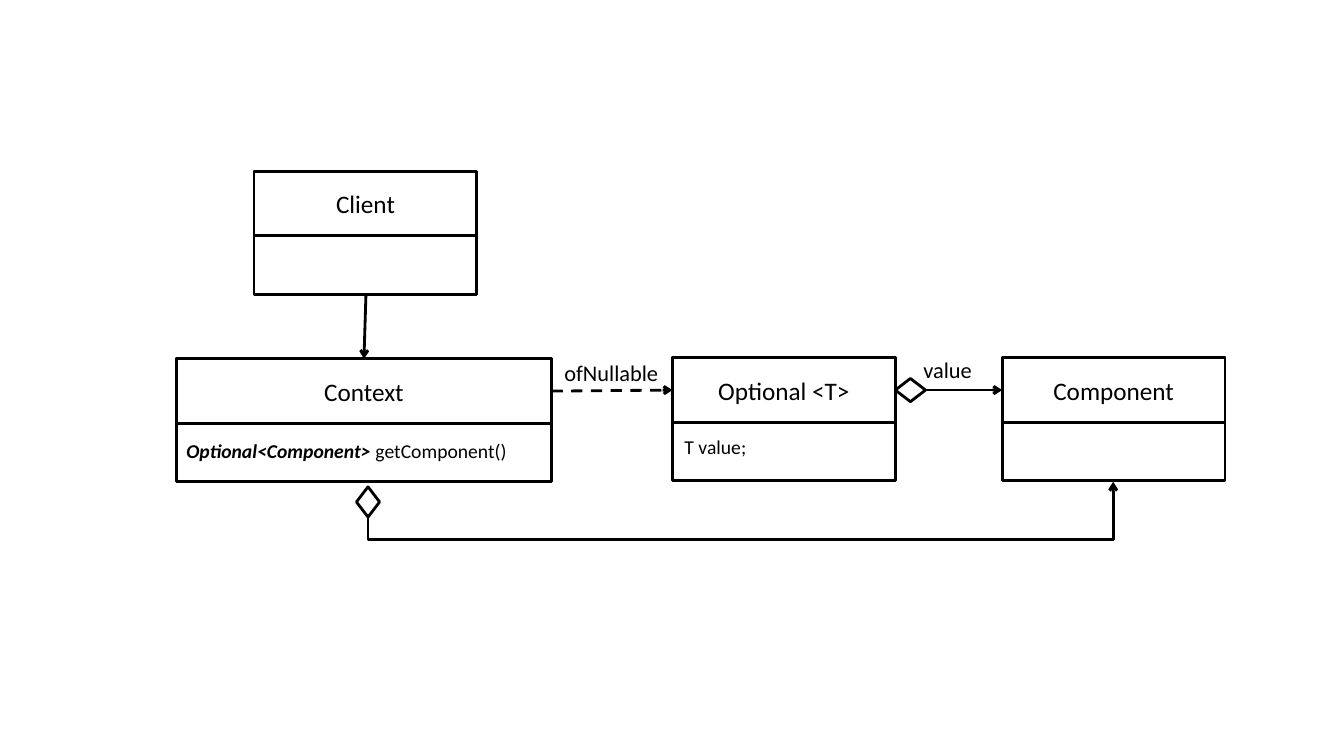
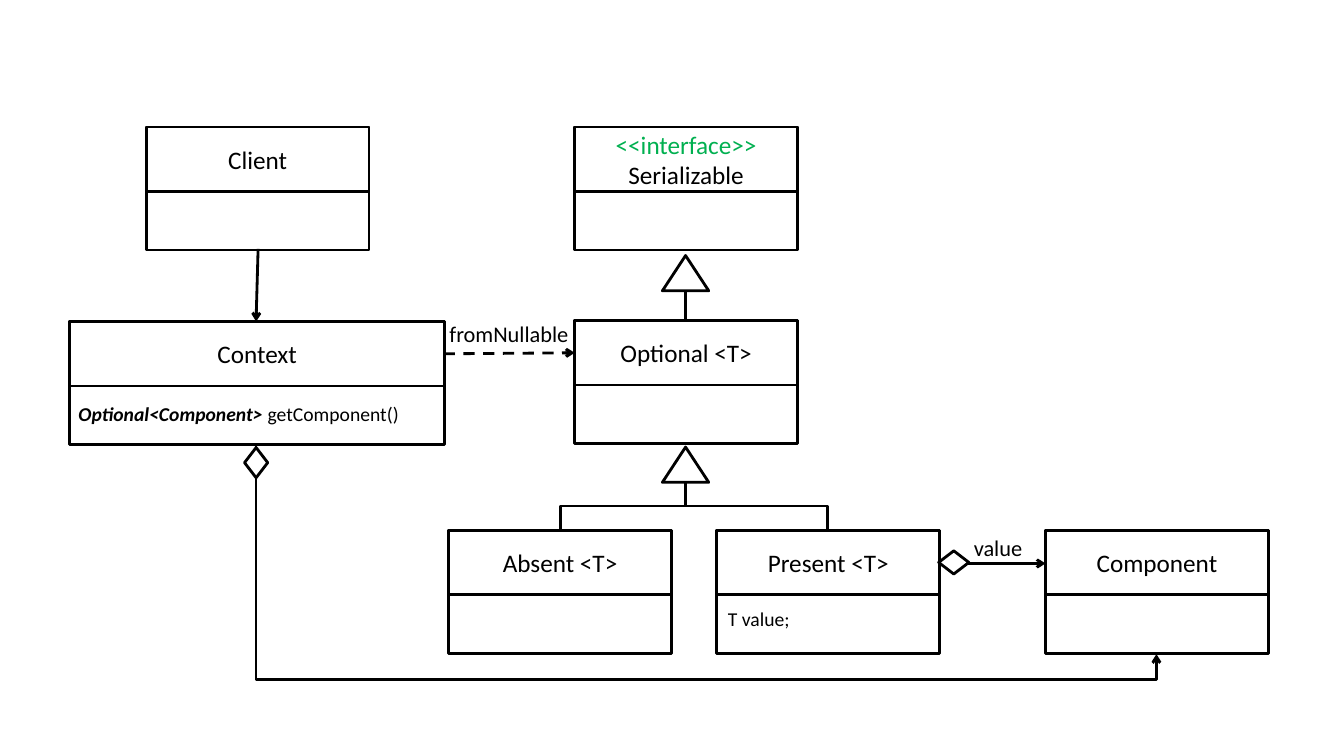
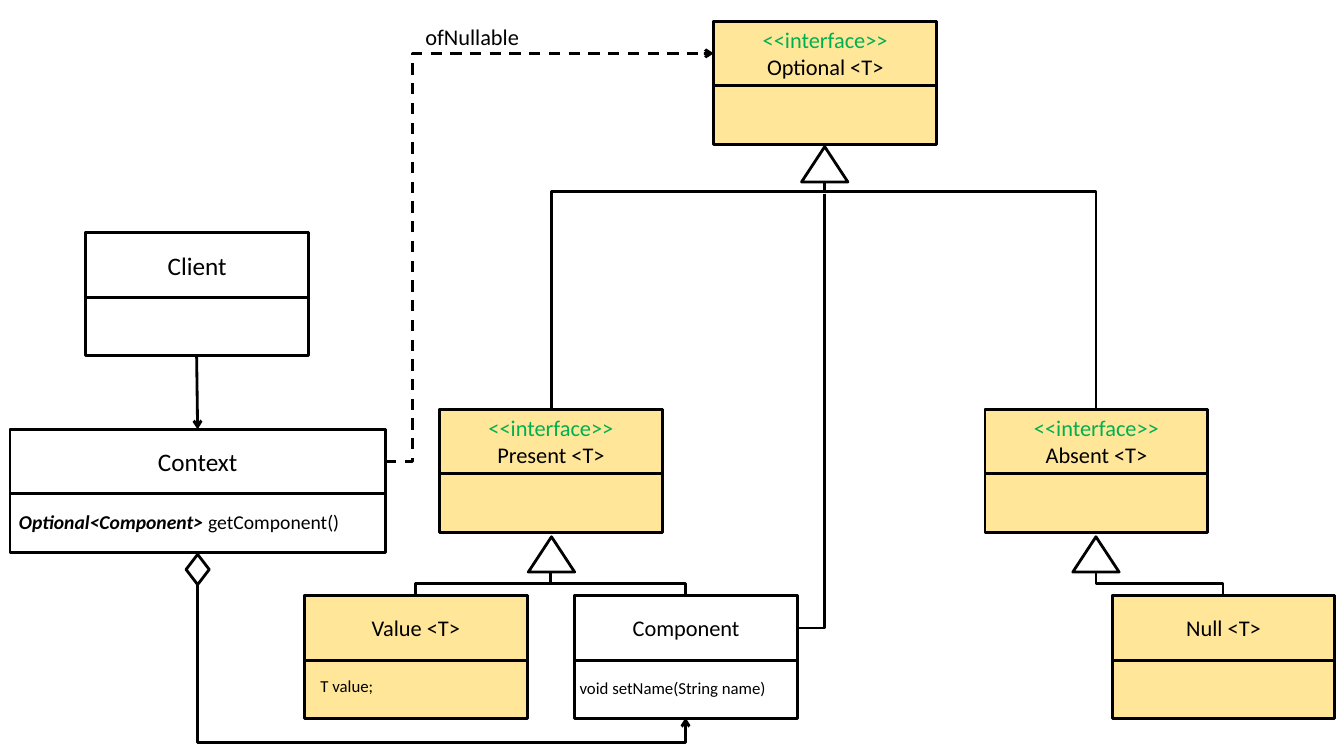
from lxml import etree
from pptx import Presentation
from pptx import util as u
from pptx.dml import color
from pptx.enum import dml, shapes, text
from pptx.oxml import ns

FONT, BLACK, WHITE, GREEN, GOLD = "Calibri", "000000", "FFFFFF", "00B050", "FFE699"
BOX_WIDTH, CONTEXT_WIDTH, BOX_HEIGHT, HEADER_HEIGHT = 2.21, 3.72, 1.22, 0.64
LINE = u.Pt(2)
INTERFACE = "<<interface>>\n"
GETTER = "Optional<Component> |getComponent()"
MARKS = {
    "triangle": (shapes.MSO_SHAPE.ISOSCELES_TRIANGLE, 0.46, 0.35, 0),
    "diamond": (shapes.MSO_SHAPE.DIAMOND, 0.3, 0.23, 0),
    "upright diamond": (shapes.MSO_SHAPE.DIAMOND, 0.3, 0.23, 90),
}

# boxes: name, left, top, width, size, fill
# links: route, start x, start y, end x, end y, turn, style
# marks: kind, centre x, centre y
# labels: text, left, top, width, size
nullable = {
    "boxes": [
        ("Optional <T>", 6.67, 3.55, BOX_WIDTH, 18, None),
        ("Component", 9.94, 3.55, BOX_WIDTH, 18, None),
        ("Context", 1.75, 3.56, CONTEXT_WIDTH, 18, None),
        ("Client", 2.52, 1.7, BOX_WIDTH, 18, None),
    ],
    "links": [
        ("straight", 8.87, 3.87, 9.94, 3.87, None, "arrow"),
        ("straight", 5.47, 3.88, 6.67, 3.87, None, "dash"),
        ("straight", 3.63, 2.91, 3.61, 3.56, None, "arrow"),
        ("down", 3.65, 5.13, 11.04, 4.78, 5.35, "arrow"),
    ],
    "marks": [("diamond", 9.03, 3.87), ("upright diamond", 3.65, 4.98)],
    "labels": [
        ("ofNullable", 5.5, 3.51, 1.14, 16),
        ("value", 9.06, 3.48, 0.69, 16),
        ("T value;", 6.69, 4.27, 0.82, 14),
        (GETTER, 1.75, 4.31, 3.39, 14),
    ],
}
serializable = {
    "boxes": [
        ("Present <T>", 7.11, 5.26, BOX_WIDTH, 18, None),
        ("Absent <T>", 4.45, 5.26, BOX_WIDTH, 18, None),
        ("Optional <T>", 5.7, 3.18, BOX_WIDTH, 18, None),
        ("Component", 10.37, 5.26, BOX_WIDTH, 18, None),
        ("Context", 0.69, 3.19, CONTEXT_WIDTH, 18, None),
        ("Client", 1.45, 1.26, BOX_WIDTH, 18, None),
        (INTERFACE + "Serializable", 5.7, 1.26, BOX_WIDTH, 18, None),
    ],
    "links": [
        ("down", 6.8, 4.79, 5.56, 5.26, 5.02, "plain"),
        ("down", 6.8, 4.79, 8.21, 5.26, 5.02, "plain"),
        ("straight", 9.31, 5.59, 10.37, 5.59, None, "arrow"),
        ("straight", 4.4, 3.51, 5.7, 3.5, None, "dash"),
        ("straight", 2.56, 2.47, 2.54, 3.19, None, "arrow"),
        ("down", 2.54, 4.41, 11.47, 6.49, 6.74, "arrow"),
        ("straight", 6.8, 2.88, 6.8, 3.18, None, "plain"),
    ],
    "marks": [
        ("triangle", 6.8, 4.61),
        ("triangle", 6.8, 2.71),
        ("diamond", 9.46, 5.58),
        ("upright diamond", 2.54, 4.59),
    ],
    "labels": [
        ("fromNullable", 4.36, 3.13, 1.4, 16),
        ("value", 9.56, 5.25, 0.69, 16),
        ("T value;", 7.12, 5.97, 0.82, 14),
        (GETTER, 0.68, 3.94, 3.39, 14),
    ],
}
interfaces = {
    "boxes": [
        (INTERFACE + "Optional <T>", 7.08, 0.21, BOX_WIDTH, 16, GOLD),
        (INTERFACE + "Absent <T>", 9.77, 4.06, BOX_WIDTH, 16, GOLD),
        (INTERFACE + "Present <T>", 4.36, 4.06, BOX_WIDTH, 16, GOLD),
        ("Component", 5.7, 5.91, BOX_WIDTH, 16, WHITE),
        ("Value <T>", 3.02, 5.91, BOX_WIDTH, 16, GOLD),
        ("Null <T>", 11.03, 5.91, BOX_WIDTH, 16, GOLD),
        ("Context", 0.1, 4.26, CONTEXT_WIDTH, 18, None),
        ("Client", 0.85, 2.31, BOX_WIDTH, 18, None),
    ],
    "links": [
        ("down", 8.18, 1.81, 10.87, 4.06, 1.9, "plain"),
        ("down", 8.18, 1.81, 5.47, 4.06, 1.9, "plain"),
        ("corner", 8.18, 1.92, 7.91, 6.23, None, "plain"),
        ("down", 5.46, 5.67, 6.8, 5.91, 5.79, "plain"),
        ("down", 5.46, 5.67, 4.12, 5.91, 5.79, "plain"),
        ("down", 10.87, 5.67, 12.13, 5.91, 5.79, "plain"),
        ("straight", 1.95, 3.52, 1.96, 4.26, None, "arrow"),
        ("down", 1.96, 5.8, 6.8, 7.12, 7.37, "arrow"),
        ("across", 3.82, 4.58, 7.08, 0.53, 4.09, "dash"),
    ],
    "marks": [
        ("triangle", 8.18, 1.63),
        ("triangle", 5.47, 5.5),
        ("triangle", 10.87, 5.5),
        ("upright diamond", 1.96, 5.65),
    ],
    "labels": [
        ("T value;", 3.08, 6.65, 0.73, 12),
        (GETTER, 0.09, 5.01, 3.47, 14),
        ("ofNullable", 4.12, 0.18, 1.14, 16),
        ("void setName(String name)", 5.65, 6.67, 2.07, 12),
    ],
}


def paint(shape, fill):
    shape.shadow.inherit = False
    if fill:
        shape.fill.solid()
        shape.fill.fore_color.rgb = color.RGBColor.from_string(fill)
    else:
        shape.fill.background()
    shape.line.color.rgb = color.RGBColor.from_string(BLACK)
    shape.line.width = LINE


def connect(page, route, x1, y1, x2, y2, turn, style):
    kind = shapes.MSO_CONNECTOR.STRAIGHT if route == "straight" else shapes.MSO_CONNECTOR.ELBOW
    start, end, rotation = (x1, y1), (x2, y2), 0
    if route in ("down", "corner"):
        across, down = x2 - x1, y2 - y1
        middle_x, middle_y = (x1 + x2) / 2, (y1 + y2) / 2
        half_x = abs(down) / 2 * (-1 if across > 0 else 1)
        half_y = abs(across) / 2 * (-1 if down < 0 else 1)
        start = (middle_x - half_x, middle_y - half_y)
        end = (middle_x + half_x, middle_y + half_y)
        rotation = 270 if across > 0 and down > 0 else 90
    link = page.shapes.add_connector(kind, *[u.Inches(value) for value in start + end])
    link.line.color.rgb = color.RGBColor.from_string(BLACK)
    link.line.width = LINE
    if style == "dash":
        link.line.dash_style = dml.MSO_LINE.DASH
    properties = link._element.spPr
    if rotation:
        properties.xfrm.set("rot", str(rotation * 60000))
    geometry = properties.find(ns.qn("a:prstGeom"))
    if route == "corner":
        geometry.set("prst", "bentConnector2")
    if turn is not None:
        share = (turn - x1) / (x2 - x1) if route == "across" else (turn - y1) / (y2 - y1)
        guides = geometry.find(ns.qn("a:avLst"))
        etree.SubElement(guides, ns.qn("a:gd"), name="adj1", fmla=f"val {round(share * 100000)}")
    if style != "plain":
        etree.SubElement(properties.find(ns.qn("a:ln")), ns.qn("a:tailEnd"), type="arrow")
    etree.SubElement(properties, ns.qn("a:effectLst"))


deck = Presentation()
deck.slide_width, deck.slide_height = u.Inches(13.33), u.Inches(7.5)

for diagram in (nullable, serializable, interfaces):
    page = deck.slides.add_slide(deck.slide_layouts[6])

    for name, left, top, width, size, fill in diagram["boxes"]:
        group = page.shapes.add_group_shape()
        for height in (BOX_HEIGHT, HEADER_HEIGHT):
            box = group.shapes.add_shape(
                shapes.MSO_SHAPE.RECTANGLE,
                u.Inches(left), u.Inches(top), u.Inches(width), u.Inches(height))
            paint(box, fill)
        frame = box.text_frame
        frame.vertical_anchor = text.MSO_ANCHOR.MIDDLE
        frame.text = name
        for para in frame.paragraphs:
            para.alignment = text.PP_ALIGN.CENTER
            para.font.name, para.font.size = FONT, u.Pt(size)
            ink = GREEN if para.text.startswith("<<") else BLACK
            para.font.color.rgb = color.RGBColor.from_string(ink)

    for link in diagram["links"]:
        connect(page, *link)

    for kind, x, y in diagram["marks"]:
        preset, width, height, rotation = MARKS[kind]
        mark = page.shapes.add_shape(
            preset, u.Inches(x - width / 2), u.Inches(y - height / 2),
            u.Inches(width), u.Inches(height))
        mark.rotation = rotation
        paint(mark, None if kind == "triangle" else WHITE)

    for wording, left, top, width, size in diagram["labels"]:
        label = page.shapes.add_textbox(
            u.Inches(left), u.Inches(top), u.Inches(width), u.Inches(size / 60 + 0.1))
        label.text_frame.word_wrap = False
        label.text_frame.auto_size = text.MSO_AUTO_SIZE.SHAPE_TO_FIT_TEXT
        para = label.text_frame.paragraphs[0]
        para.font.name, para.font.size = FONT, u.Pt(size)
        para.font.color.rgb = color.RGBColor.from_string(BLACK)
        returned, bar, member = wording.rpartition("|")
        if returned:
            span = para.add_run()
            span.text = returned
            span.font.bold = span.font.italic = True
        span = para.add_run()
        span.text = member

deck.save("out.pptx")
